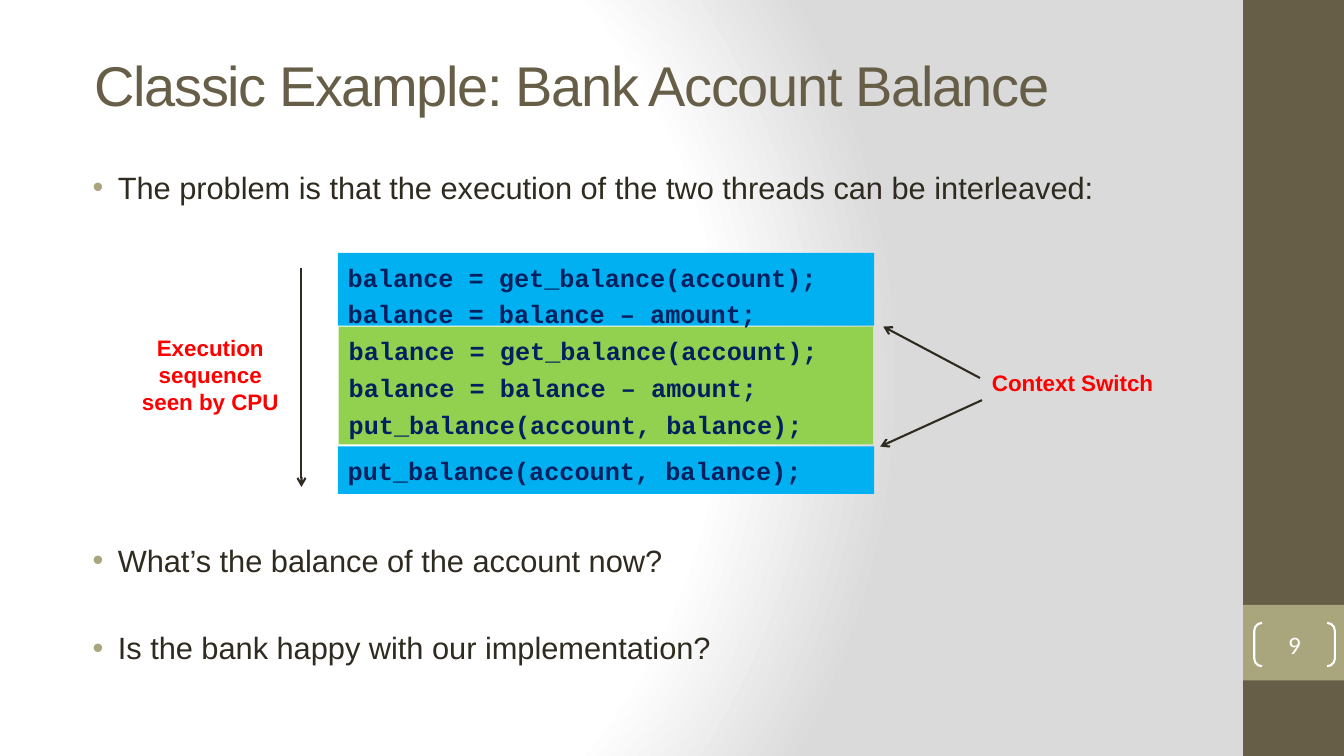
import pptx
import pptx.dml.color
import pptx.enum.shapes
import pptx.enum.text
import pptx.oxml
import pptx.oxml.ns
import pptx.util
from lxml import etree

Inches = pptx.util.Inches
Pt = pptx.util.Pt
SHAPE = pptx.enum.shapes.MSO_SHAPE
ALIGN = pptx.enum.text.PP_ALIGN
ANCHOR = pptx.enum.text.MSO_ANCHOR
qn = pptx.oxml.ns.qn

BROWN, SAND, INK = "675E47", "A9A57C", "2F2B20"
BLUE, GREEN, NAVY = "00B0F0", "92D050", "002060"
RED, WHITE = "FF0000", "FFFFFF"

GET = "balance = get_balance(account);"
SUBTRACT = "balance = balance – amount;"
PUT = "put_balance(account, balance);"


def colour(value):
    return pptx.dml.color.RGBColor.from_string(value)


def paint_background(page):
    page.background.fill.gradient()
    old = page._element.find(".//" + qn("a:gradFill"))
    stops = "".join(
        f'<a:gs pos="{place * 1000}"><a:srgbClr val="{shade}"/></a:gs>'
        for place, shade in ((0, WHITE), (75, WHITE), (100, "DADADA"))
    )
    new = pptx.oxml.parse_xml(
        f'<a:gradFill {pptx.oxml.ns.nsdecls("a")} rotWithShape="1">'
        f"<a:gsLst>{stops}</a:gsLst>"
        '<a:path path="circle">'
        '<a:fillToRect l="20000" t="50000" r="100000" b="50000"/>'
        "</a:path></a:gradFill>"
    )
    old.getparent().replace(old, new)


def add_panel(page, kind, area, fill=None, line=None):
    panel = page.shapes.add_shape(kind, *map(Inches, area))
    panel.shadow.inherit = False
    if fill:
        panel.fill.solid()
        panel.fill.fore_color.rgb = colour(fill)
    else:
        panel.fill.background()
    if line:
        panel.line.color.rgb = colour(line)
        panel.line.width = Pt(1.5)
    else:
        panel.line.fill.background()
    return panel


def style(para, size, face, shade, bold=False, align=ALIGN.LEFT):
    para.alignment = align
    para.font.size = Pt(size)
    para.font.name = face
    para.font.bold = bold
    para.font.color.rgb = colour(shade)


def add_text(page, area, text, size, shade, **look):
    box = page.shapes.add_textbox(*map(Inches, area))
    box.text_frame.word_wrap = True
    para = box.text_frame.paragraphs[0]
    para.text = text
    style(para, size, "Arial", shade, **look)
    return box


def add_title(page, text):
    box = add_text(page, (0.84, 0.61, 10.91, 0.45), text, 40, BROWN)
    box.text_frame.vertical_anchor = ANCHOR.MIDDLE
    span = box.text_frame.paragraphs[0].runs[0]
    span._r.get_or_add_rPr().set("spc", "-100")


def add_bullets(page, area, items):
    box = page.shapes.add_textbox(*map(Inches, area))
    frame = box.text_frame
    frame.word_wrap = True
    for index, (text, before) in enumerate(items):
        para = frame.add_paragraph() if index else frame.paragraphs[0]
        para.text = text
        if before:
            para.space_before = Pt(before)
        props = para._p.get_or_add_pPr()
        props.set("marL", str(Inches(0.38)))
        props.set("indent", str(Inches(-0.25)))
        tint = etree.SubElement(props, qn("a:buClr"))
        etree.SubElement(tint, qn("a:srgbClr")).set("val", SAND)
        etree.SubElement(props, qn("a:buFont")).set("typeface", "Arial")
        etree.SubElement(props, qn("a:buChar")).set("char", "•")
        style(para, 22, "Arial", INK, align=ALIGN.JUSTIFY)


def add_code(page, area, fill, lines):
    frame = add_panel(page, SHAPE.RECTANGLE, area, fill).text_frame
    frame.vertical_anchor = ANCHOR.TOP
    frame.margin_top = Inches(0.09)
    for index, line in enumerate(lines):
        para = frame.add_paragraph() if index else frame.paragraphs[0]
        para.text = line
        if index:
            para.space_before = Pt(4.6)
        style(para, 18, "Courier New", NAVY, bold=True)


def add_arrow(page, tail, tip):
    arrow = page.shapes.add_connector(
        pptx.enum.shapes.MSO_CONNECTOR.STRAIGHT, *map(Inches, tail + tip)
    )
    arrow.line.color.rgb = colour(INK)
    arrow.line.width = Pt(1.5)
    etree.SubElement(arrow.line._get_or_add_ln(), qn("a:tailEnd")).set("type", "arrow")
    etree.SubElement(arrow._element.spPr, qn("a:effectLst"))


def add_page_number(page, number):
    badge = add_panel(page, SHAPE.DOUBLE_BRACKET, (12.44, 6.18, 0.8, 0.43), line=WHITE)
    badge.adjustments[0] = 0.18
    frame = badge.text_frame
    frame.margin_left = frame.margin_right = 0
    frame.margin_top = frame.margin_bottom = 0
    frame.vertical_anchor = ANCHOR.MIDDLE
    para = frame.paragraphs[0]
    para.text = number
    style(para, 18, "Calibri", WHITE, align=ALIGN.CENTER)


def main():
    deck = pptx.Presentation()
    deck.slide_width, deck.slide_height = Inches(13.33), Inches(7.5)
    page = deck.slides.add_slide(deck.slide_layouts[6])

    paint_background(page)
    add_panel(page, SHAPE.RECTANGLE, (12.33, 0, 1, 7.5), BROWN)
    add_panel(page, SHAPE.RECTANGLE, (12.33, 6, 1, 0.75), SAND)
    add_title(page, "Classic Example: Bank Account Balance")
    add_page_number(page, "9")

    add_bullets(page, (0.69, 1.62, 11.35, 5.88), (
        ("The problem is that the execution of the two threads can be interleaved:", 0),
        ("What’s the balance of the account now?", 240.4),
        ("Is the bank happy with our implementation?", 36),
    ))

    add_code(page, (3.35, 4.43, 5.32, 0.47), BLUE, (PUT,))
    add_code(page, (3.36, 3.24, 5.3, 1.17), GREEN, (GET, SUBTRACT, PUT))
    add_code(page, (3.35, 2.51, 5.32, 0.72), BLUE, (GET, SUBTRACT))

    add_arrow(page, (9.72, 3.75), (8.76, 3.24))
    add_arrow(page, (9.74, 3.97), (8.73, 4.43))
    add_arrow(page, (2.99, 2.66), (2.99, 4.83))
    add_text(page, (9.74, 3.61, 2, 0.37), "Context Switch", 16, RED, bold=True)
    add_text(page, (1.24, 3.27, 1.69, 0.91), "Execution sequence seen by CPU",
             16, RED, bold=True, align=ALIGN.CENTER)

    deck.save("out.pptx")


if __name__ == "__main__":
    main()
